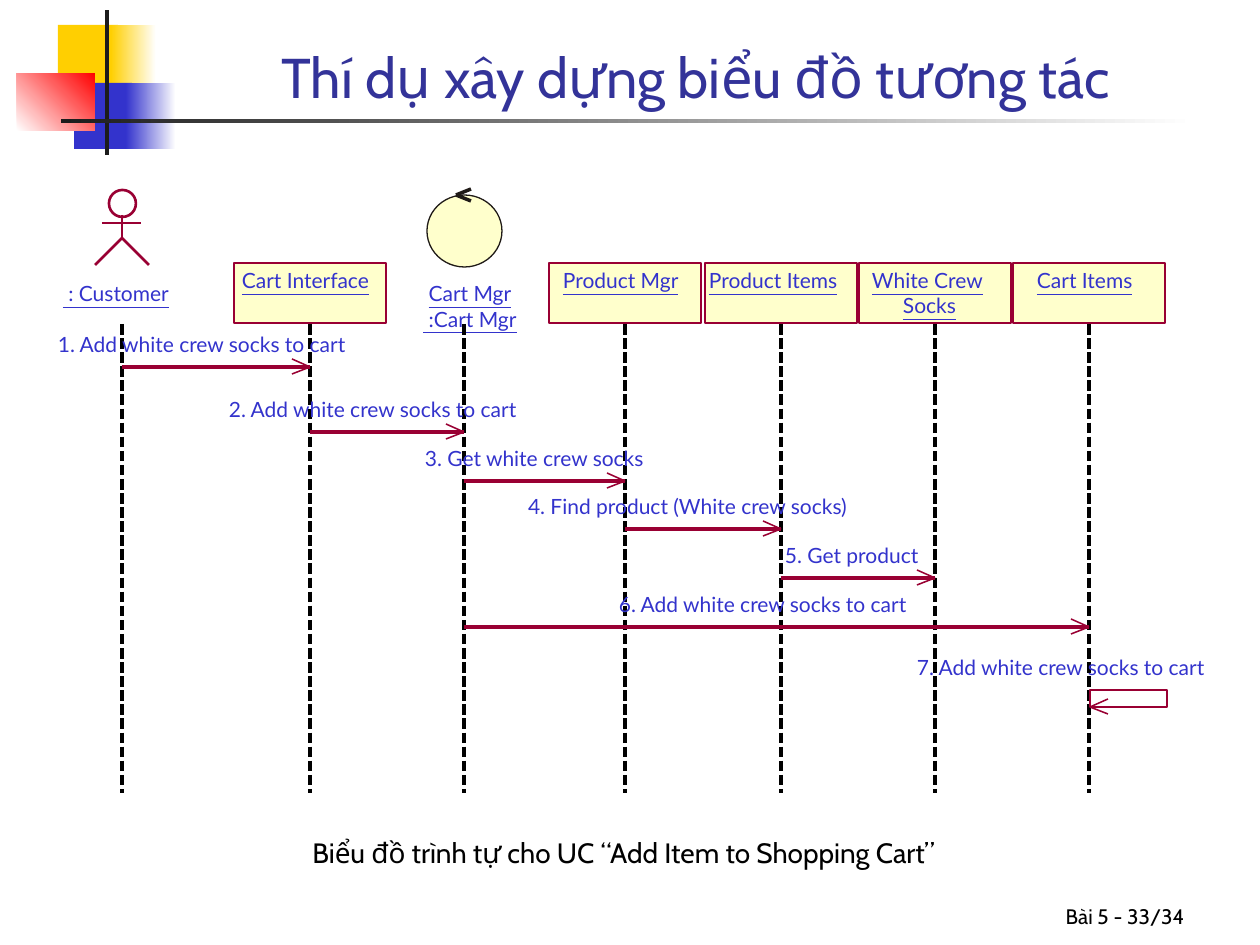
from dataclasses import dataclass

from pptx import Presentation
from pptx.dml.color import RGBColor
from pptx.enum.dml import MSO_LINE_DASH_STYLE as Dash
from pptx.enum.shapes import MSO_CONNECTOR as Connector, MSO_SHAPE as Shape
from pptx.enum.text import MSO_ANCHOR as Anchor, MSO_AUTO_SIZE as AutoSize, PP_ALIGN as Align
from pptx.oxml.ns import qn
from pptx.util import Emu, Pt
from lxml.etree import SubElement

EMU_PER_PX = 914400 / 126


def px(length):
    return Emu(round(length * EMU_PER_PX))


@dataclass(frozen=True)
class Theme:
    heading_font: str = "Cabin"
    label_font: str = "Lato"
    title_size: int = 32
    caption_size: int = 16
    small_size: int = 12
    title: str = "333399"
    blue: str = "3333CC"
    yellow: str = "FFCF01"
    red: str = "FF0000"
    white: str = "FFFFFF"
    bar: str = "1C1C1C"
    black: str = "000000"
    maroon: str = "990033"
    ink: str = "1F1A17"
    cream: str = "FFFFCC"
    hairline: float = 0
    head_width: float = 0.88
    actor_width: float = 1.5


class SequenceSlide:
    def __init__(self, slide, theme):
        self.slide = slide
        self.theme = theme

    def stroke(self, line, color, width):
        line.color.rgb = RGBColor.from_string(color)
        line.width = Pt(width)

    def shape(self, kind, left, top, width, height, fill=None, line=None, weight=0):
        shape = self.slide.shapes.add_shape(kind, px(left), px(top), px(width), px(height))
        shape.shadow.inherit = False
        if fill:
            shape.fill.solid()
            shape.fill.fore_color.rgb = RGBColor.from_string(fill)
        else:
            shape.fill.background()
        if line:
            self.stroke(shape.line, line, weight)
        else:
            shape.line.fill.background()
        return shape

    def gradient(self, left, top, width, height, start, end, angle=0):
        shape = self.shape(Shape.RECTANGLE, left, top, width, height)
        shape.fill.gradient()
        shape.fill.gradient_angle = angle
        for stop, position, color in zip(shape.fill.gradient_stops, (0, 1), (start, end)):
            stop.position = position
            stop.color.rgb = RGBColor.from_string(color)

    def line(self, x1, y1, x2, y2, color, width=0, dashed=False):
        connector = self.slide.shapes.add_connector(
            Connector.STRAIGHT, px(x1), px(y1), px(x2), px(y2))
        self.stroke(connector.line, color, width)
        if dashed:
            connector.line.dash_style = Dash.SQUARE_DOT
        SubElement(connector._element.spPr, qn("a:effectLst"))

    def polyline(self, points, color, width):
        builder = self.slide.shapes.build_freeform(*map(px, points[0]))
        builder.add_line_segments([(px(x), px(y)) for x, y in points[1:]], close=False)
        shape = builder.convert_to_shape()
        shape.shadow.inherit = False
        shape.fill.background()
        self.stroke(shape.line, color, width)

    def format(self, text_frame, font, size, color, align=Align.LEFT, underline=None):
        for paragraph in text_frame.paragraphs:
            paragraph.alignment = align
            for run in paragraph.runs:
                run.font.name = font
                run.font.size = Pt(size)
                run.font.color.rgb = RGBColor.from_string(color)
                run.font.underline = underline

    def title(self, text, left, top, width, height):
        title = self.slide.shapes.title
        title.left, title.top, title.width, title.height = map(px, (left, top, width, height))
        frame = title.text_frame
        frame.text = text
        frame.auto_size = AutoSize.NONE
        frame.vertical_anchor = Anchor.BOTTOM
        self.format(frame, self.theme.heading_font, self.theme.title_size,
                    self.theme.title, Align.CENTER)

    def text(self, text, left, top, width, height):
        frame = self.slide.shapes.add_textbox(
            px(left), px(top), px(width), px(height)).text_frame
        frame.text = text
        return frame

    def label(self, text, left, top, width, height=25, align=Align.LEFT, underline=None):
        frame = self.text(text, left, top, width, height)
        frame.margin_left = frame.margin_top = frame.margin_right = frame.margin_bottom = 0
        frame.word_wrap = False
        frame.auto_size = AutoSize.SHAPE_TO_FIT_TEXT
        self.format(frame, self.theme.label_font, self.theme.small_size,
                    self.theme.blue, align, underline)

    def caption(self, text, left, top, width, height):
        frame = self.text(text, left, top, width, height)
        frame.word_wrap = False
        frame.auto_size = AutoSize.SHAPE_TO_FIT_TEXT
        frame.paragraphs[0].space_before = Pt(4)
        self.format(frame, self.theme.heading_font, self.theme.caption_size, self.theme.black)

    def page_number(self, text, left, top, width, height):
        frame = self.text(text, left, top, width, height)
        frame.word_wrap = True
        frame.vertical_anchor = Anchor.BOTTOM
        self.format(frame, self.theme.heading_font, self.theme.small_size,
                    self.theme.black, Align.RIGHT)

    def arrow_head(self, x, y, back):
        for rise in (7, -8):
            self.line(x, y, x + back, y + rise, self.theme.maroon, self.theme.head_width)

    def message(self, text, left, width, start, end, y):
        self.line(start, y, end, y, self.theme.maroon)
        self.arrow_head(end, y, -18)
        self.label(text, left, y - 35, width)

    def self_message(self, text, left, width, x, y):
        self.shape(Shape.RECTANGLE, x, y, 77, 17, line=self.theme.maroon)
        self.arrow_head(x, y + 17, 18)
        self.label(text, left, y - 35, width)

    def actor(self, x, top):
        color, width = self.theme.maroon, self.theme.actor_width
        self.shape(Shape.OVAL, x - 13, top, 27, 27, line=color, weight=width)
        self.line(x, top + 25, x, top + 48, color, width)
        self.line(x - 20, top + 33, x + 19, top + 33, color, width)
        self.polyline([(x - 27, top + 75), (x, top + 48), (x + 27, top + 75)], color, width)

    def control(self, x, top):
        self.shape(Shape.OVAL, x - 37, top, 75, 72, self.theme.cream, self.theme.ink)
        for rise in (-6, 6):
            self.line(x + 7, top + rise, x - 8, top, self.theme.ink)

    def participant(self, left, labels):
        self.shape(Shape.RECTANGLE, left, 263, 152, 60, self.theme.cream, self.theme.maroon)
        for row, (text, label_left, width) in enumerate(labels):
            self.label(text, label_left, 268 + 25 * row, width, underline=True)

    def lifeline(self, x):
        self.line(x, 324, x, 793, self.theme.black, self.theme.hairline, dashed=True)

    def decoration(self):
        theme = self.theme
        self.shape(Shape.RECTANGLE, 58, 25, 60, 66, theme.yellow)
        self.gradient(111, 25, 45, 66, theme.yellow, theme.white)
        self.shape(Shape.RECTANGLE, 74, 83, 58, 66, theme.blue)
        self.gradient(126, 83, 50, 66, theme.blue, theme.white)
        self.gradient(17, 73, 78, 58, theme.white, theme.red, 45)
        self.shape(Shape.RECTANGLE, 105, 10, 4, 145, theme.bar)
        self.gradient(61, 119, 1134, 4, theme.bar, theme.white)


def main():
    presentation = Presentation()
    presentation.slide_width, presentation.slide_height = px(1260), px(945)
    slide = presentation.slides.add_slide(presentation.slide_layouts[5])
    diagram = SequenceSlide(slide, Theme())

    diagram.decoration()
    diagram.title("Thí dụ xây dựng biểu đồ tương tác", 159, 10, 1074, 106)
    diagram.page_number("Bài 5 - 33/34", 935, 872, 262, 63)

    lifelines = customer, interface, manager, product, items, socks, cart = (
        122, 310, 464, 625, 781, 935, 1089)
    diagram.actor(customer, 190)
    diagram.label(" : Customer", 63, 281, 113, underline=True)
    diagram.control(manager, 195)
    diagram.label("Cart Mgr\n :Cart Mgr", 421, 281, 98, 50, Align.CENTER, True)
    for x, labels in (
        (interface, [("Cart Interface", 242, 136)]),
        (product, [("Product Mgr", 563, 123)]),
        (items, [("Product Items", 709, 140)]),
        (socks, [("White Crew", 872, 118), ("Socks", 903, 55)]),
        (cart, [("Cart Items", 1037, 103)]),
    ):
        diagram.participant(x - 76, labels)
    for x in lifelines:
        diagram.lifeline(x)

    for message in (
        ("1. Add white crew socks to cart", 58, 304, customer, interface, 367),
        ("2. Add white crew socks to cart", 229, 304, interface, manager, 432),
        ("3. Get white crew socks", 425, 229, manager, product, 481),
        ("4. Find product (White crew socks)", 528, 336, product, items, 529),
        ("5. Get product", 785, 141, items, socks, 578),
        ("6. Add white crew socks to cart", 619, 304, manager, cart, 627),
    ):
        diagram.message(*message)
    diagram.self_message("7. Add white crew socks to cart", 917, 304, cart + 1, 690)

    diagram.caption("Biểu đồ trình tự cho UC “Add Item to Shopping Cart”", 300, 829, 709, 47)
    presentation.save("out.pptx")


if __name__ == "__main__":
    main()
